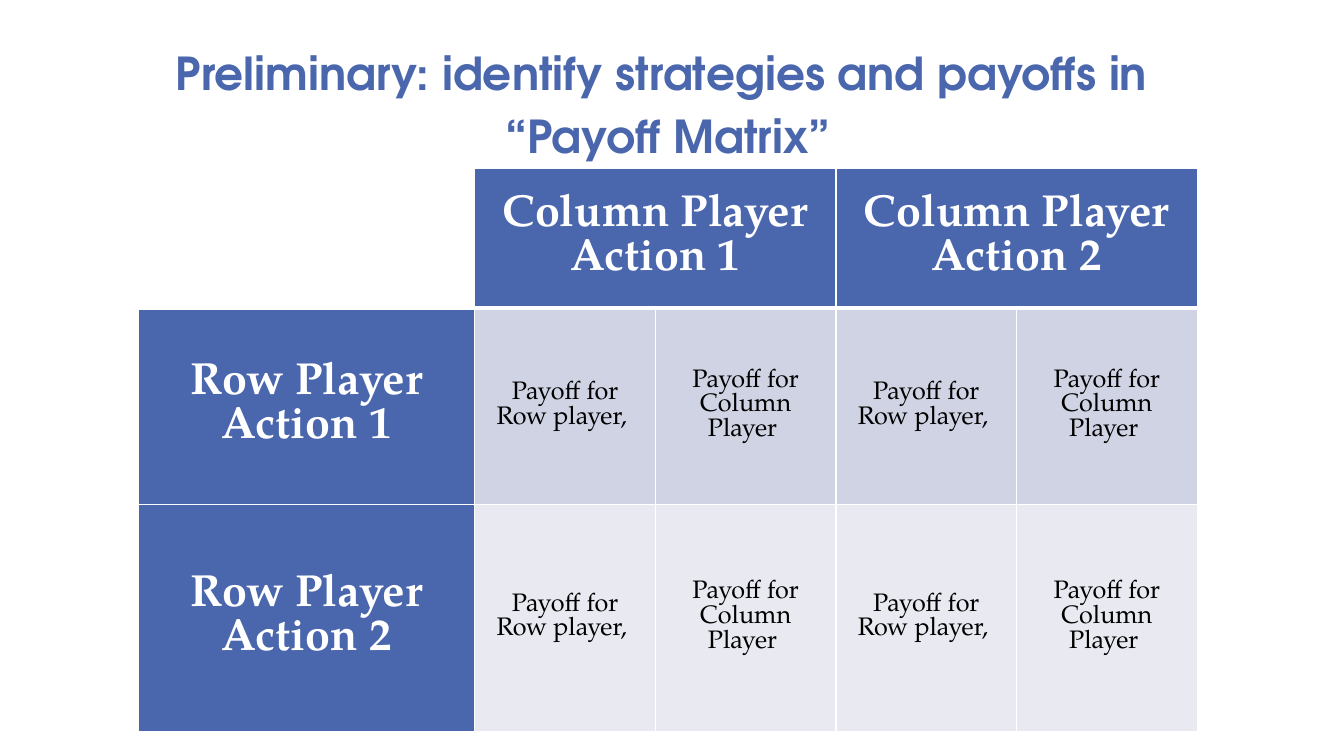
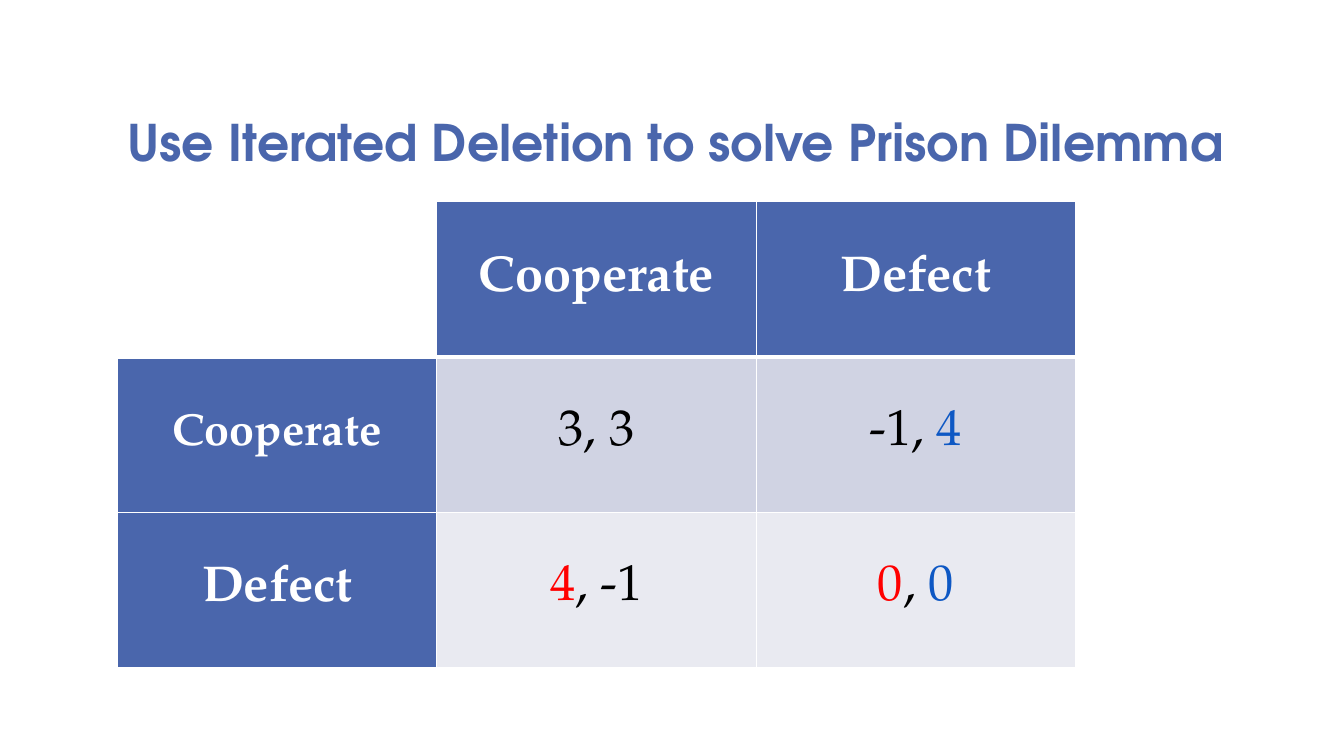
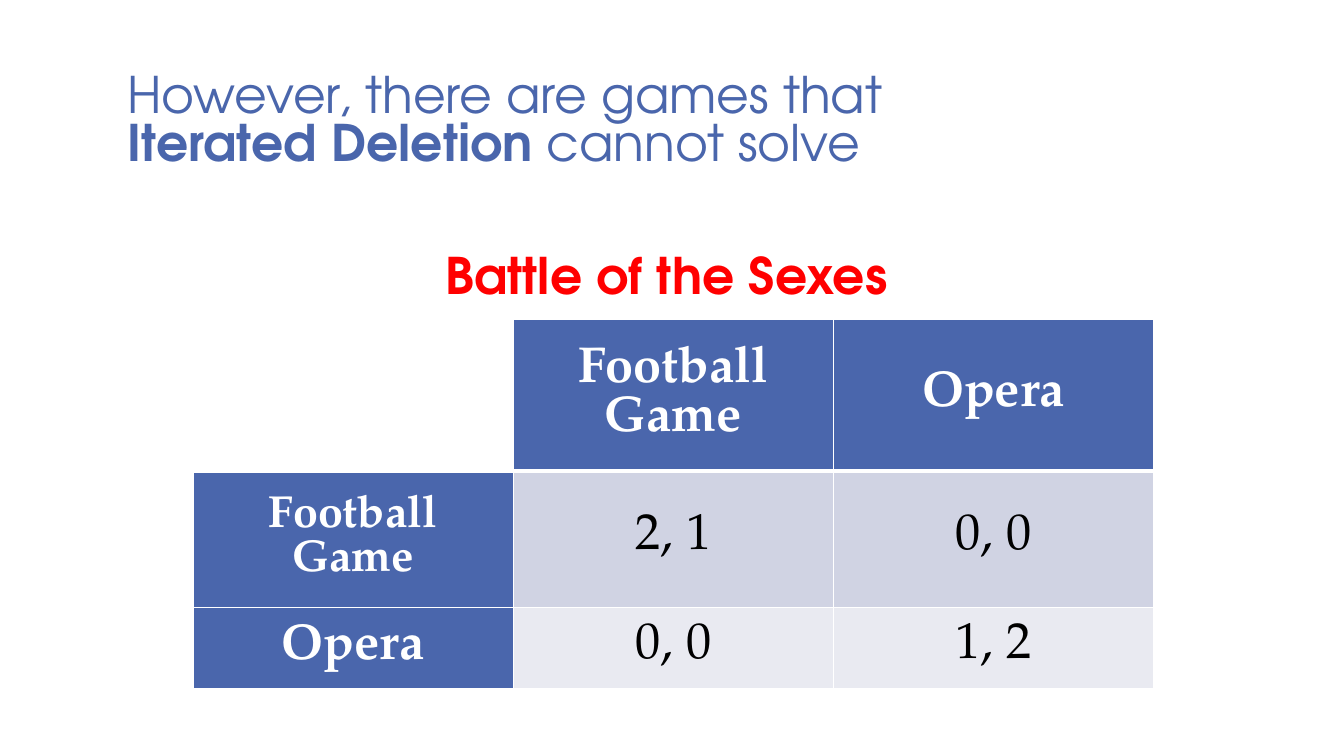
"""Build three slides on payoff matrices and iterated deletion."""
from lxml import etree
from pptx import Presentation
from pptx.dml.color import RGBColor
from pptx.enum.text import MSO_ANCHOR, PP_ALIGN
from pptx.oxml.ns import qn
from pptx.util import Inches, Pt

CENTER, LEFT = PP_ALIGN.CENTER, PP_ALIGN.LEFT
MIDDLE, BOTTOM = MSO_ANCHOR.MIDDLE, MSO_ANCHOR.BOTTOM
COLORS = {
    "blue": "4A66AC",
    "column player": "0E58C4",
    "red": "FF0000",
    "white": "FFFFFF",
    "black": "000000",
    "bands": ["D0D3E3", "E9EAF1"],
}
TITLE_FONT, TABLE_FONT = "TeX Gyre Adventor", "TeX Gyre Pagella"
TABLE_LINE_SHARE = 0.98
BORDERS = {"a:lnL": 1, "a:lnR": 1, "a:lnT": 1, "a:lnB": 1}

presentation = Presentation()
presentation.slide_width = Inches(13.33)
presentation.slide_height = Inches(7.5)
GRID = presentation.slide_height / 90


def write(text_frame, runs, font_name, size, alignment, line_spacing):
    """Fill a frame with one paragraph of (text, color, bold) runs."""
    paragraph = text_frame.paragraphs[0]
    paragraph.text = "".join(text for text, color, bold in runs) if len(runs) == 1 else ""
    paragraph.alignment = alignment
    paragraph.line_spacing = line_spacing
    if len(runs) > 1:
        for text, color, bold in runs:
            paragraph.add_run().text = text
        styles = runs
    else:
        styles = runs * len(paragraph.runs)
    for run, (text, color, bold) in zip(paragraph.runs, styles):
        run.font.name = font_name
        run.font.size = Pt(size)
        run.font.bold = bold
        run.font.color.rgb = RGBColor.from_string(COLORS[color])


def add_heading(slide, place, runs, size, alignment, line_spacing):
    """Add a bottom-anchored heading at a place given in grid units."""
    shape = slide.shapes.add_textbox(*[round(length * GRID) for length in place])
    text_frame = shape.text_frame
    text_frame.word_wrap = True
    text_frame.vertical_anchor = BOTTOM
    write(text_frame, runs, TITLE_FONT, size, alignment, line_spacing)


payoffs = ["Payoff for Row player, ", "Payoff for Column Player "] * 2
slides = [
    {
        "headings": [
            ((10.5, 6, 138, 14),
             [("Preliminary: identify strategies and payoffs in \v“Payoff Matrix”", "blue", True)],
             32.4, CENTER, Pt(45)),
        ],
        "corner": (16.5, 20),
        "columns": [40] + [21.5] * 4,
        "rows": [16.7, 23.4, 27],
        "span": 2,
        "sizes": {"header": 32, "labels": [32, 32], "body": 18},
        "header": ["Column Player Action 1", "Column Player Action 2"],
        "body": [["Row Player Action 1"] + payoffs, ["Row Player Action 2"] + payoffs],
    },
    {
        "headings": [
            ((14, 7, 138, 14),
             [("Use Iterated Deletion to solve Prison Dilemma", "blue", True)],
             36, LEFT, 0.8),
        ],
        "corner": (14, 24),
        "columns": [38] * 3,
        "rows": [18.5] * 3,
        "span": 1,
        "sizes": {"header": 36, "labels": [32, 36], "body": 36},
        "header": ["Cooperate", "Defect"],
        "body": [
            ["Cooperate", "3, 3", [("-1, ", "black", False), ("4", "column player", False)]],
            ["Defect",
             [("4", "red", False), (", -1", "black", False)],
             [("0", "red", False), (", ", "black", False), ("0", "column player", False)]],
        ],
    },
    {
        "headings": [
            ((14, 7, 114, 14),
             [("However, there are games that ", "blue", False),
              ("Iterated Deletion", "blue", True),
              (" cannot solve", "blue", False)],
             36, LEFT, 0.8),
            ((48, 21, 64.3, 15.8), [("Battle of the Sexes ", "red", True)], 36, CENTER, Pt(40)),
        ],
        "corner": (23, 38),
        "columns": [38.1] * 3,
        "rows": [18.1, 16.2, 9.7],
        "span": 1,
        "sizes": {"header": 36, "labels": [32, 36], "body": 36},
        "header": ["Football Game", "Opera"],
        "body": [["Football Game", "2, 1", "0, 0"], ["Opera", "0, 0", "1, 2"]],
    },
]

for content in slides:
    slide = presentation.slides.add_slide(presentation.slide_layouts[6])
    for heading in content["headings"]:
        add_heading(slide, *heading)

    columns, rows, sizes = content["columns"], content["rows"], content["sizes"]
    place = [*content["corner"], sum(columns), sum(rows)]
    table = slide.shapes.add_table(
        len(rows), len(columns), *[round(length * GRID) for length in place]
    ).table
    for column, width in zip(table.columns, columns):
        column.width = round(width * GRID)
    for row, height in zip(table.rows, rows):
        row.height = round(height * GRID)

    span = content["span"]
    header = [""] + [text for label in content["header"] for text in [label] + [""] * (span - 1)]
    for row_index, row_values in enumerate([header] + content["body"]):
        for column_index, value in enumerate(row_values):
            cell = table.cell(row_index, column_index)
            cell.vertical_anchor = MIDDLE
            is_label = row_index == 0 or column_index == 0
            for tag, width in BORDERS.items():
                is_rule = (row_index, tag) in [(0, "a:lnB"), (1, "a:lnT")]
                line = etree.SubElement(cell._tc.get_or_add_tcPr(), qn(tag))
                line.set("w", str(Pt(3 if is_rule else width)))
                fill = etree.SubElement(line, qn("a:solidFill"))
                etree.SubElement(fill, qn("a:srgbClr")).set("val", COLORS["white"])
            if row_index == column_index == 0:
                cell.fill.background()
                continue
            cell.fill.solid()
            fill_color = COLORS["blue"] if is_label else COLORS["bands"][row_index - 1]
            cell.fill.fore_color.rgb = RGBColor.from_string(fill_color)
            if not value:
                continue
            if row_index == 0:
                size = sizes["header"]
            elif column_index == 0:
                size = sizes["labels"][row_index - 1]
            else:
                size = sizes["body"]
            plain = [(value, "white" if is_label else "black", is_label)]
            runs = plain if isinstance(value, str) else value
            write(cell.text_frame, runs, TABLE_FONT, size, CENTER, Pt(size * TABLE_LINE_SHARE))

    if span > 1:
        for first in range(1, len(columns), span):
            table.cell(0, first).merge(table.cell(0, first + span - 1))

presentation.save("out.pptx")
